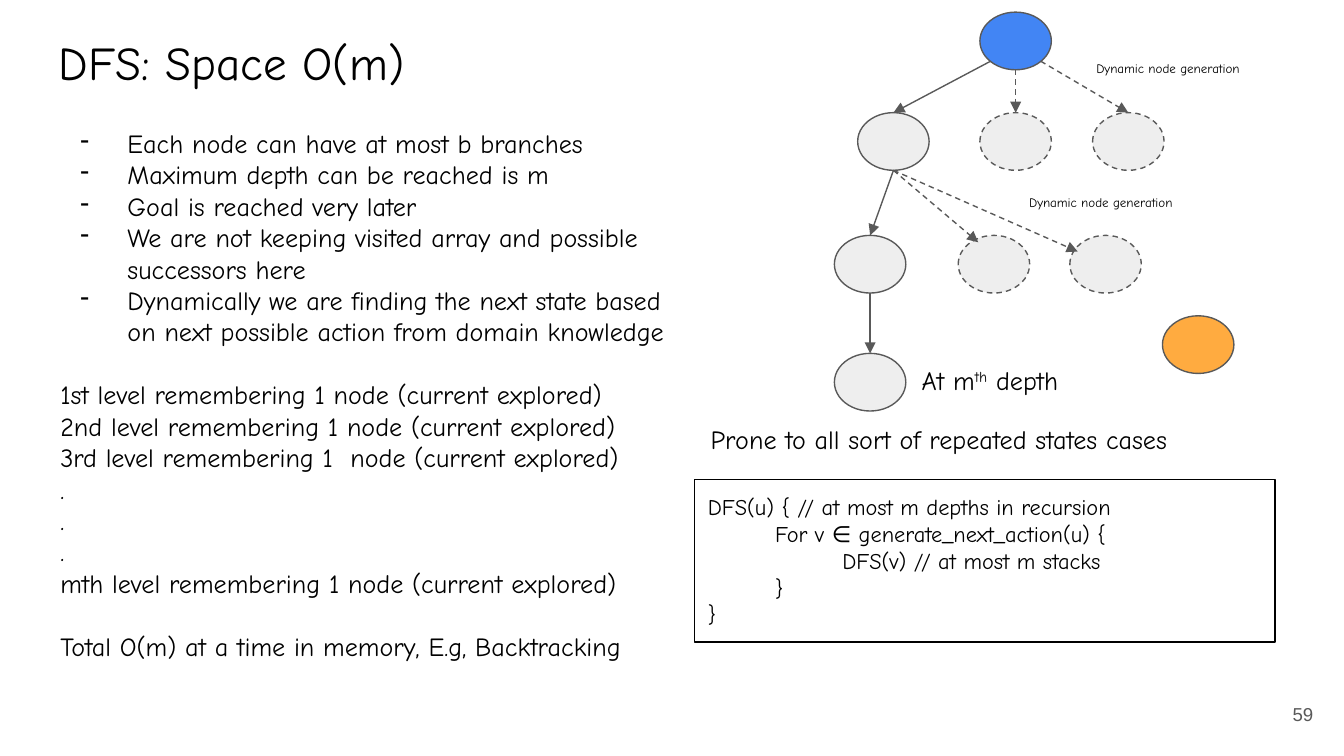
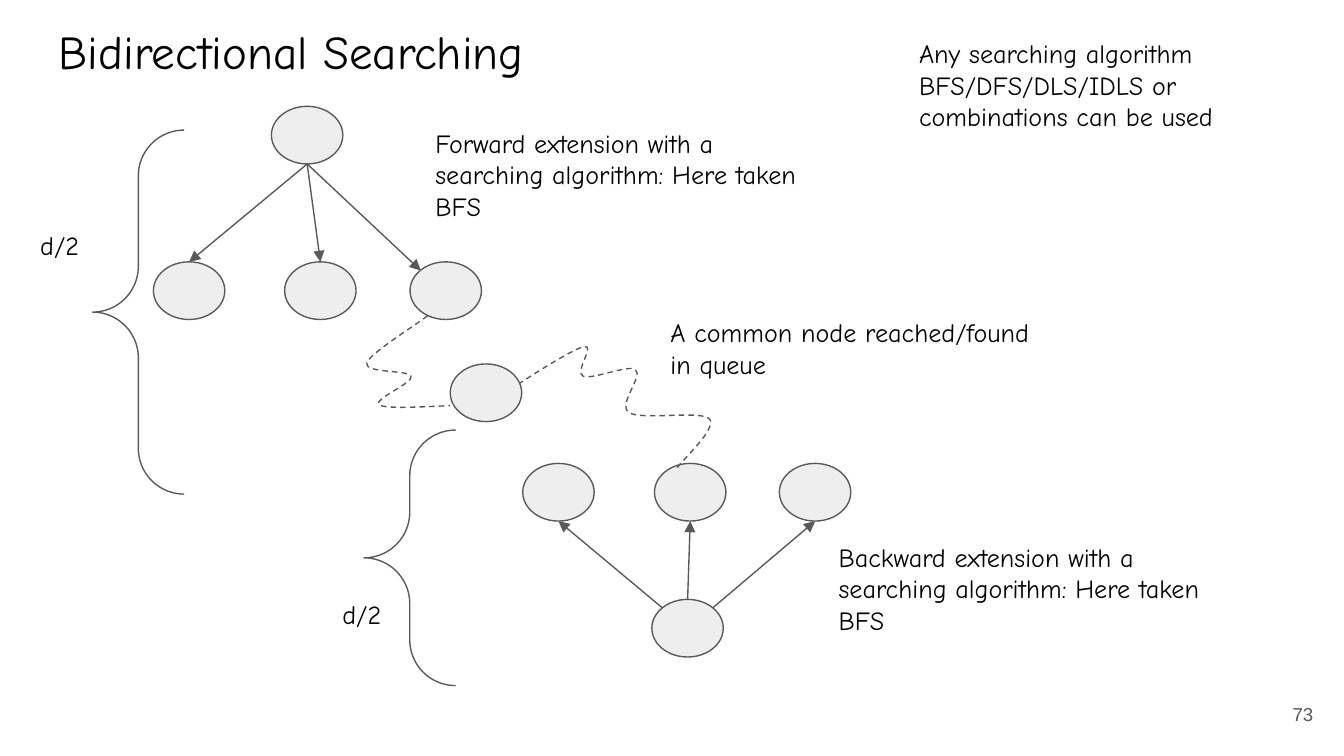
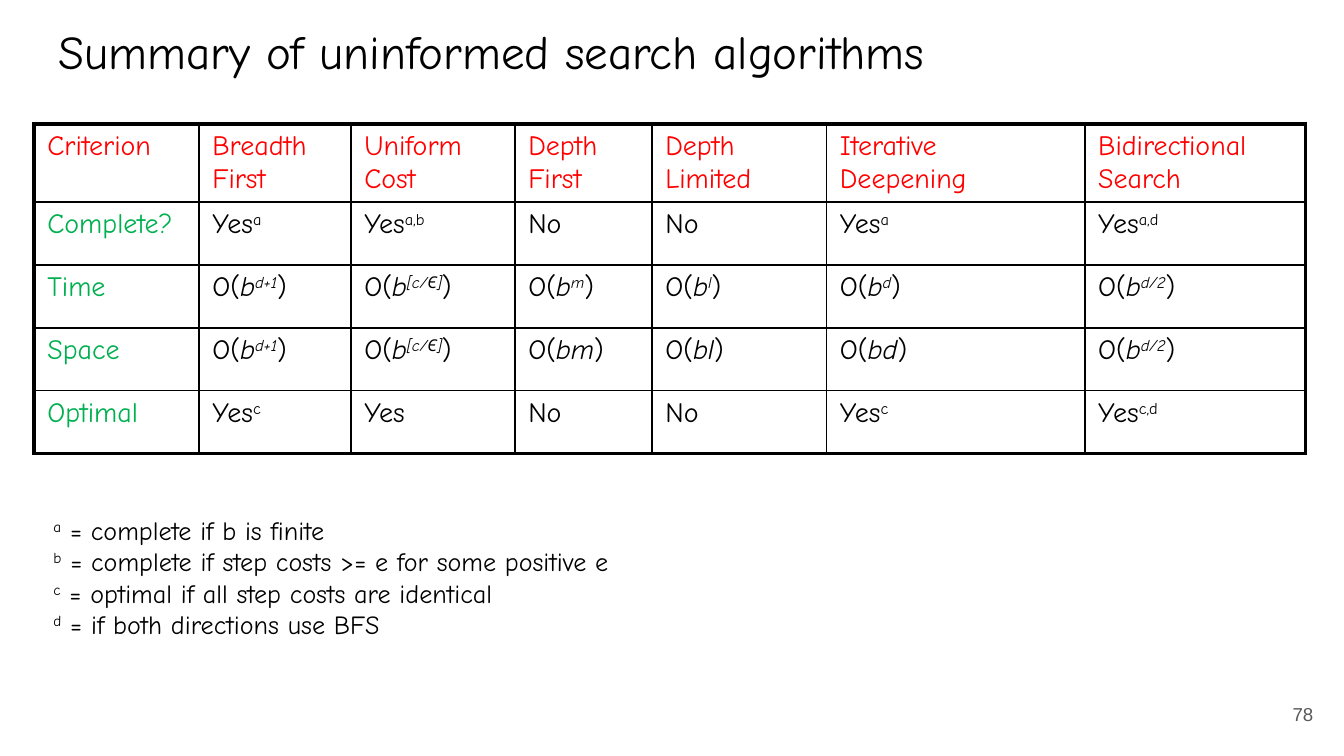
import pptx
import pptx.dml.color
import pptx.enum.dml
import pptx.enum.shapes
import pptx.enum.text
import pptx.oxml.ns
import pptx.util
from lxml import etree

Cm = pptx.util.Cm
Pt = pptx.util.Pt
RGB = pptx.dml.color.RGBColor
SHAPE = pptx.enum.shapes.MSO_SHAPE
ALIGN = pptx.enum.text.PP_ALIGN
ANCHOR = pptx.enum.text.MSO_ANCHOR
qn = pptx.oxml.ns.qn

# Shared look
BLACK = RGB(0x00, 0x00, 0x00)
GREY = RGB(0x59, 0x59, 0x59)
NODE_GREY = RGB(0xEE, 0xEE, 0xEE)
ROOT_BLUE = RGB(0x42, 0x85, 0xF4)
GOAL_ORANGE = RGB(0xFF, 0xAB, 0x40)
HEADER_RED = RGB(0xFF, 0x00, 0x00)
CRITERION_GREEN = RGB(0x00, 0xB0, 0x50)
FONT = "Comic Neue"
BODY = 14
INSET = Cm(0.25)
NODE_W, NODE_H = 1.35, 1.09

# Points on a node's outline, as fractions of its width and height
TOP, BOTTOM = (0.5, 0), (0.5, 1)
TOP_LEFT, TOP_RIGHT = (0.15, 0.15), (0.85, 0.15)
BOTTOM_LEFT, BOTTOM_RIGHT = (0.15, 0.85), (0.85, 0.85)


# Text
def write(frame, *lines, size=BODY, color=BLACK, font=FONT, align=ALIGN.LEFT,
          bullet=False, first_indent=0, gap=0):
    """Append lines; ^ encloses superscript, ~ encloses italics."""
    for number, line in enumerate(lines):
        paragraph = frame.paragraphs[-1]
        if paragraph.runs:
            paragraph = frame.add_paragraph()
        paragraph.alignment = align
        if gap and number == 0:
            paragraph.space_before = Pt(gap)
        properties = paragraph._p.get_or_add_pPr()
        if first_indent:
            properties.set("marL", "0")
            properties.set("indent", str(Cm(first_indent)))
        if bullet:
            properties.set("marL", str(Cm(1.27)))
            properties.set("indent", str(Cm(-0.89)))
            etree.SubElement(properties, qn("a:buChar"), char="-")
        for i, part in enumerate(line.split("~")):
            for j, piece in enumerate(part.split("^")):
                if piece:
                    run = paragraph.add_run()
                    run.text = piece
                    run.font.name, run.font.size = font, Pt(size)
                    run.font.color.rgb = color
                    if i % 2:
                        run.font.italic = True
                    if j % 2:
                        run.font._element.set("baseline", "30000")


def prepare(frame, anchor=ANCHOR.TOP):
    frame.word_wrap = True
    frame.auto_size = pptx.enum.text.MSO_AUTO_SIZE.NONE
    frame.vertical_anchor = anchor
    frame.margin_left = frame.margin_right = INSET
    frame.margin_top = frame.margin_bottom = INSET
    return frame


def add_text(slide, x, y, w, h, *lines, anchor=ANCHOR.TOP, **form):
    box = slide.shapes.add_textbox(Cm(x), Cm(y), Cm(w), Cm(h))
    frame = prepare(box.text_frame, anchor)
    write(frame, *lines, **form)
    return frame


def add_page(deck, heading, number, y=0.18, w=23.67):
    slide = deck.slides.add_slide(deck.slide_layouts[5])
    title = slide.shapes.title
    title.left, title.top = Cm(0.86), Cm(y)
    title.width, title.height = Cm(w), Cm(1.6)
    write(prepare(title.text_frame), heading, size=25.2)
    add_text(slide, 23.55, 12.95, 1.52, 1.09, str(number), anchor=ANCHOR.MIDDLE,
             size=10, color=GREY, font="Arial", align=ALIGN.RIGHT)
    return slide


# Diagram parts
def outline(item, color=GREY, dashed=False):
    item.line.color.rgb = color
    item.line.width = Pt(0.75)
    if dashed:
        item.line.dash_style = pptx.enum.dml.MSO_LINE.DASH


def add_outlined(slide, kind, x, y, w, h, fill=None, color=GREY, dashed=False):
    shape = slide.shapes.add_shape(kind, Cm(x), Cm(y), Cm(w), Cm(h))
    shape.shadow.inherit = False
    if fill is None:
        shape.fill.background()
    else:
        shape.fill.solid()
        shape.fill.fore_color.rgb = fill
    outline(shape, color, dashed)
    return shape


def add_node(slide, x, y, fill=NODE_GREY, dashed=False):
    return add_outlined(slide, SHAPE.OVAL, x, y, NODE_W, NODE_H, fill, dashed=dashed)


def add_brace(slide, x, y, h):
    brace = add_outlined(slide, SHAPE.LEFT_BRACE, x, y, 1.73, h)
    brace.adjustments[0] = brace.adjustments[1] = 0.5


def add_arrow(slide, parent, start, child, end=TOP, dashed=False):
    ends = [int(value) for node, (across, down) in ((parent, start), (child, end))
            for value in (node.left + across * node.width, node.top + down * node.height)]
    arrow = slide.shapes.add_connector(pptx.enum.shapes.MSO_CONNECTOR.STRAIGHT, *ends)
    outline(arrow, dashed=dashed)
    properties = arrow._element.spPr
    etree.SubElement(properties.find(qn("a:ln")), qn("a:tailEnd"), type="triangle")
    etree.SubElement(properties, qn("a:effectLst"))


def add_dashed_curve(slide, start, *controls):
    """Draw cubic curves; every three control points make one segment."""
    builder = slide.shapes.build_freeform(Cm(start[0]), Cm(start[1]))
    builder.add_line_segments([(Cm(x), Cm(y)) for x, y in controls], close=False)
    curve = builder.convert_to_shape()
    curve.shadow.inherit = False
    curve.fill.background()
    outline(curve, dashed=True)
    for i, step in enumerate(list(curve._element.iter(qn("a:lnTo")))):
        holder = step.getparent()
        if i % 3 == 0:
            segment = etree.SubElement(holder, qn("a:cubicBezTo"))
        segment.append(step[0])
        holder.remove(step)


# Table
def set_borders(cell, **widths):
    properties = cell._tc.get_or_add_tcPr()
    for side in "LRTB":
        edge = etree.SubElement(properties, qn("a:ln" + side), w=str(Pt(widths[side])))
        fill = etree.SubElement(edge, qn("a:solidFill"))
        etree.SubElement(fill, qn("a:srgbClr"), val=str(BLACK))


def add_grid(slide, x, y, widths, heights, rows):
    frame = slide.shapes.add_table(len(rows), len(widths), Cm(x), Cm(y),
                                   Cm(sum(widths)), Cm(sum(heights)))
    grid = frame.table
    grid.first_row = grid.horz_banding = False
    for column, width in zip(grid.columns, widths):
        column.width = Cm(width)
    last_row, last_column = len(rows) - 1, len(widths) - 1
    for r, row in enumerate(rows):
        grid.rows[r].height = Cm(heights[r])
        for c, entry in enumerate(row):
            cell = grid.cell(r, c)
            set_borders(cell, L=1 if c else 2.25, T=1 if r else 2.25,
                        R=2.25 if c == last_column else 1,
                        B=2.25 if r == last_row else 1)
            cell.fill.background()
            color = HEADER_RED if r == 0 else BLACK if c else CRITERION_GREEN
            write(cell.text_frame, entry, size=15, color=color)


# Slides
def build_dfs_space(deck):
    slide = add_page(deck, "DFS: Space O(m)", 59, y=0.38, w=9.12)

    # Search tree
    root = add_node(slide, 18.52, 0.23, ROOT_BLUE)
    first = add_node(slide, 16.21, 2.13)
    first_pending = [add_node(slide, x, 2.13, dashed=True) for x in (18.52, 20.65)]
    second = add_node(slide, 15.77, 4.45)
    second_pending = [add_node(slide, x, 4.45, dashed=True) for x in (18.11, 20.22)]
    deepest = add_node(slide, 15.77, 6.68)
    add_node(slide, 21.97, 5.97, GOAL_ORANGE)
    add_arrow(slide, root, BOTTOM_LEFT, first)
    add_arrow(slide, first, BOTTOM, second)
    add_arrow(slide, second, BOTTOM, deepest)
    for node, start in zip(first_pending, (BOTTOM, BOTTOM_RIGHT)):
        add_arrow(slide, root, start, node, dashed=True)
    for node, end in zip(second_pending, ((0.28, 0.12), (0.11, 0.28))):
        add_arrow(slide, first, BOTTOM, node, end, dashed=True)
    for x, y in ((20.47, 0.89), (19.2, 3.43)):
        add_text(slide, x, y, 3.51, 0.81, "Dynamic node generation", size=7)
    add_text(slide, 17.17, 6.63, 3.89, 1.12, "At m^th^ depth")

    # Memory argument
    memory = add_text(
        slide, 0.89, 2.16, 12.19, 11.89,
        "Each node can have at most b branches",
        "Maximum depth can be reached is m",
        "Goal is reached very later",
        "We are not keeping visited array and possible successors here",
        "Dynamically we are finding the next state based on next possible action "
        "from domain knowledge", bullet=True)
    write(memory,
          "1st level remembering 1 node (current explored)",
          "2nd level remembering 1 node (current explored)",
          "3rd level remembering 1  node (current explored)",
          ".", ".", ".",
          "mth level remembering 1 node (current explored)", gap=17)
    write(memory, "Total O(m) at a time in memory, E.g, Backtracking", gap=17)

    # Pseudocode
    add_text(slide, 13.18, 7.75, 10.77, 1.12, "Prone to all sort of repeated states cases")
    code = add_outlined(slide, SHAPE.RECTANGLE, 13.13, 9.07, 10.97, 3.07, color=BLACK)
    listing = prepare(code.text_frame)
    write(listing, "DFS(u) { // at most m depths in recursion",
          "\tFor v ∈ generate_next_action(u) {",
          "\t\tDFS(v) // at most m stacks", size=12)
    write(listing, "}", size=12, first_indent=1.27)
    write(listing, "}", size=12)


def build_bidirectional(deck):
    slide = add_page(deck, "Bidirectional Searching", 73)

    # Forward and backward trees
    start = add_node(slide, 5.13, 2.01)
    forward = [add_node(slide, x, 4.95) for x in (2.9, 5.38, 7.75)]
    backward = [add_node(slide, x, 8.76) for x in (9.88, 12.37, 14.73)]
    goal = add_node(slide, 12.32, 11.33)
    add_node(slide, 8.51, 6.88)
    for node, end in zip(forward, (TOP, TOP, TOP_LEFT)):
        add_arrow(slide, start, BOTTOM, node, end)
    for node, begin in zip(backward, (TOP_LEFT, TOP, TOP_RIGHT)):
        add_arrow(slide, goal, begin, node, BOTTOM)

    # Routes to the common node
    add_dashed_curve(slide, (8.08, 5.97),
                     (7.9, 6.12), (6.99, 6.68), (6.93, 6.86),
                     (6.88, 7.06), (7.72, 6.99), (7.77, 7.11),
                     (7.82, 7.24), (7.06, 7.54), (7.16, 7.65),
                     (7.29, 7.75), (8.28, 7.67), (8.51, 7.67))
    add_dashed_curve(slide, (12.8, 8.84),
                     (12.9, 8.69), (13.56, 8.1), (13.41, 7.92),
                     (13.26, 7.75), (12.12, 7.95), (11.89, 7.8),
                     (11.66, 7.65), (12.17, 7.11), (12.01, 6.99),
                     (11.89, 6.88), (11.18, 7.19), (11.02, 7.11),
                     (10.85, 7.04), (11.25, 6.53), (11.05, 6.55),
                     (10.85, 6.58), (10.03, 7.11), (9.83, 7.24))

    # Depths and remarks
    add_brace(slide, 1.75, 2.46, 6.88)
    add_brace(slide, 6.88, 8.13, 4.83)
    for x, y in ((0.51, 4.09), (6.22, 11.07)):
        add_text(slide, x, y, 1.52, 1.12, "d/2")
    for direction, x, y in (("Forward", 7.98, 2.16), ("Backward", 15.6, 9.98)):
        add_text(slide, x, y, 7.67, 2.31,
                 f"{direction} extension with a searching algorithm: Here taken BFS")
    add_text(slide, 12.42, 5.74, 7.67, 1.7, "A common node reached/found in queue")
    add_text(slide, 17.12, 0.46, 7.42, 2.31, "Any searching algorithm",
             "BFS/DFS/DLS/IDLS or combinations can be used")


def build_summary(deck):
    slide = add_page(deck, "Summary of uninformed search algorithms", 78)
    rows = [
        ["Criterion", "Breadth First", "Uniform Cost", "Depth First", "Depth Limited",
         "Iterative Deepening", "Bidirectional Search"],
        ["Complete?", "Yes^a^", "Yes^a,b^", "No", "No", "Yes^a^", "Yes^a,d^"],
        ["Time", "O(~b^d+1^~)", "O(~b^[c/Є]^~)", "O(~b^m^~)", "O(~b^l^~)",
         "O(~b^d^~)", "O(~b^d/2^~)"],
        ["Space", "O(~b^d+1^~)", "O(~b^[c/Є]^~)", "O(~bm~)", "O(~bl~)",
         "O(~bd~)", "O(~b^d/2^~)"],
        ["Optimal", "Yes^c^", "Yes", "No", "No", "Yes^c^", "Yes^c,d^"],
    ]
    add_grid(slide, 0.64, 2.34, [3.12, 2.87, 3.1, 2.59, 3.3, 4.88, 4.17],
             [1.45] + [1.19] * 4, rows)
    add_text(slide, 0.76, 9.47, 12.42, 2.9,
             "^a^ = complete if b is finite",
             "^b^ = complete if step costs >= e for some positive e",
             "^c^ = optimal if all step costs are identical",
             "^d^ = if both directions use BFS")


def main():
    deck = pptx.Presentation()
    deck.slide_width, deck.slide_height = Cm(25.4), Cm(14.29)
    build_dfs_space(deck)
    build_bidirectional(deck)
    build_summary(deck)
    deck.save("out.pptx")


if __name__ == "__main__":
    main()
